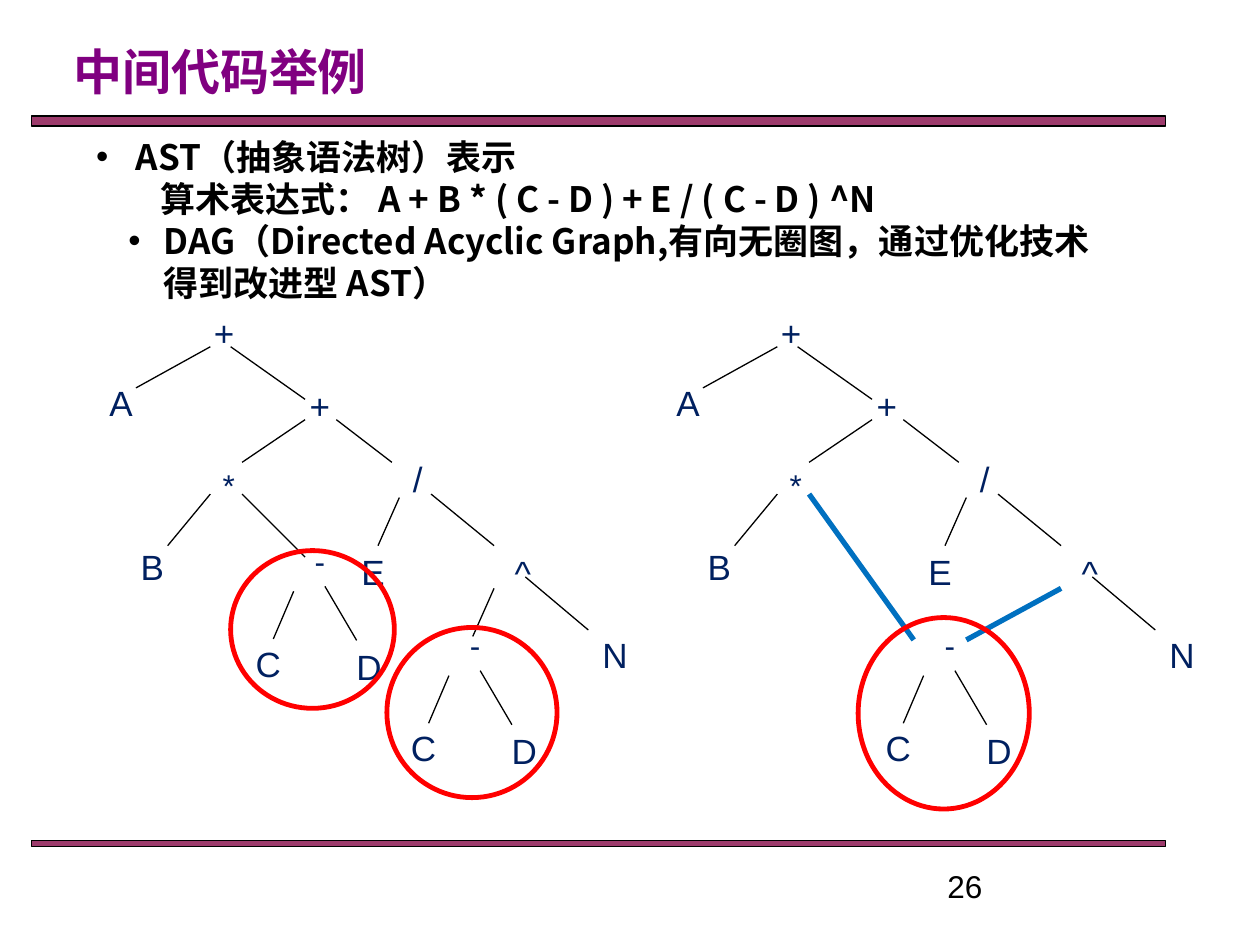
"""Builds the slide comparing an abstract syntax tree with its optimised DAG."""
from lxml.etree import SubElement
from pptx import Presentation
from pptx.dml.color import RGBColor
from pptx.enum.shapes import MSO_CONNECTOR as Connector, MSO_SHAPE as Shape
from pptx.enum.text import PP_ALIGN as Align
from pptx.oxml.ns import qn
from pptx.util import Cm, Pt

BLACK = RGBColor(0x00, 0x00, 0x00)
PURPLE = RGBColor(0x80, 0x00, 0x80)
PLUM = RGBColor(0x99, 0x33, 0x66)
NAVY = RGBColor(0x00, 0x20, 0x60)
BLUE = RGBColor(0x00, 0x70, 0xC0)
RED = RGBColor(0xFF, 0x00, 0x00)
SANS, CJK = "Arial", "Noto Sans CJK SC"

TITLE = "中间代码举例"
BODY = [
    ("AST（抽象语法树）表示", 1.42, -0.8, True),
    ("算术表达式： A + B * ( C - D ) + E / ( C - D ) ^N", 1.91, 0, False),
    ("DAG（Directed Acyclic Graph,有向无圈图，通过优化技术得到改进型 AST）", 1.98, -0.71, True),
]
PAGE = "26"
BARS = [(2.34, 0.2), (16.94, 0.13)]

NODES = [
    ("+", 4.52, 6.15), ("A", 2.44, 7.57), ("+", 6.45, 7.62),
    ("*", 4.61, 9.27), ("/", 8.42, 9.09), ("B", 3.07, 10.87),
    ("E", 7.52, 10.97), ("^", 10.54, 11), ("N", 12.4, 12.65),
]
EDGES = [
    (4.24, 6.99, 2.74, 7.82), (4.65, 6.99, 6.15, 8.05),
    (6.15, 8.46, 4.88, 9.32), (6.78, 8.46, 7.9, 9.32),
    (8.69, 9.96, 9.96, 11), (8.05, 10.03, 7.62, 11),
    (4.24, 9.96, 3.38, 11), (10.59, 11.63, 11.86, 12.7),
]
MINUS_NODES = [("-", 0, 0), ("C", -1.04, 2.03), ("D", 0.99, 2.08)]
MINUS_EDGES = [(0.1, 1.02, 0.74, 2.11), (-0.53, 1.12, -0.94, 2.08)]

TREES = [
    {"left": 0, "minus": [(6.45, 10.8), (9.58, 12.5)],
     "links": [(4.88, 9.96, 6.15, 11.23), (9.96, 11.86, 9.53, 12.83)],
     "link_style": (BLACK, 0.75),
     "rings": [(4.65, 11.1, 3.3, 3.18), (7.8, 12.65, 3.43, 3.43)]},
    {"left": 11.43, "minus": [(7.72, 12.5)],
     "links": [(4.88, 9.96, 6.99, 12.9), (9.96, 11.86, 8.05, 12.9)],
     "link_style": (BLUE, 3),
     "rings": [(5.87, 12.45, 3.45, 3.86)]},
]

prs = Presentation()
prs.slide_width, prs.slide_height = Cm(25.4), Cm(19.05)
s = prs.slides.add_slide(prs.slide_layouts[6])


def add_text(lines, x, y, w, h, size, color, font=SANS, bold=False, align=Align.LEFT):
    sp = s.shapes.add_textbox(Cm(x), Cm(y), Cm(w), Cm(h))
    tf = sp.text_frame
    tf.word_wrap = True
    tf.text = "\n".join(lines)
    for p in tf.paragraphs:
        p.alignment = align
        if font == CJK:
            p.line_spacing = Pt(round(size * 1.2))
        for r in p.runs:
            r.font.size, r.font.bold, r.font.name = Pt(size), bold, font
            r.font.color.rgb = color
            SubElement(r.font._element, qn("a:ea"), typeface=font)
    return tf


def indent(p, margin, first, bullet=False):
    pPr = p._p.get_or_add_pPr()
    pPr.set("marL", str(Cm(margin)))
    pPr.set("indent", str(Cm(first)))
    if bullet:
        SubElement(pPr, qn("a:buFont"), typeface=SANS)
        SubElement(pPr, qn("a:buChar"), char="•")


def add_line(x1, y1, x2, y2, color=BLACK, width=0.75):
    c = s.shapes.add_connector(Connector.STRAIGHT, Cm(x1), Cm(y1), Cm(x2), Cm(y2))
    c.line.color.rgb, c.line.width = color, Pt(width)
    SubElement(c._element.spPr, qn("a:effectLst"))


def add_outline(kind, x, y, w, h, color, width):
    sp = s.shapes.add_shape(kind, Cm(x), Cm(y), Cm(w), Cm(h))
    sp.shadow.inherit = False
    sp.fill.background()
    sp.line.color.rgb, sp.line.width = color, Pt(width)
    return sp


def add_graph(nodes, edges, dx, dy=0):
    for label, x, y in nodes:
        size = 18 if label in "*-" else 20
        add_text([label], x + dx - 0.6, y + dy, 1.2, 1.09, size, NAVY, align=Align.CENTER)
    for x1, y1, x2, y2 in edges:
        add_line(x1 + dx, y1 + dy, x2 + dx, y2 + dy)


for top, height in BARS:
    bar = add_outline(Shape.RECTANGLE, 0.64, top, 22.86, height, BLACK, 0.75)
    bar.fill.solid()
    bar.fill.fore_color.rgb = PLUM
    SubElement(bar.fill._xPr.find(".//" + qn("a:srgbClr")), qn("a:alpha"), val="96000")

tf = add_text([TITLE], 1.07, 0.69, 19.81, 1.45, 28, PURPLE, CJK, True)
indent(tf.paragraphs[0], 0.16, 0)
tf = add_text([line[0] for line in BODY], 1.07, 2.6, 21.79, 3.68, 20, BLACK, CJK, True)
for p, (_, margin, first, bullet) in zip(tf.paragraphs, BODY):
    indent(p, margin, first, bullet)

for tree in TREES:
    left = tree["left"]
    add_graph(NODES, EDGES, left)
    for x1, y1, x2, y2 in tree["links"]:
        add_line(x1 + left, y1, x2 + left, y2, *tree["link_style"])
    for x, y in tree["minus"]:
        add_graph(MINUS_NODES, MINUS_EDGES, x + left, y)
    for x, y, w, h in tree["rings"]:
        add_outline(Shape.OVAL, x + left, y, w, h, RED, 2.75)

add_text([PAGE], 18.85, 17.35, 5.92, 0.69, 18, BLACK)
prs.save("out.pptx")
